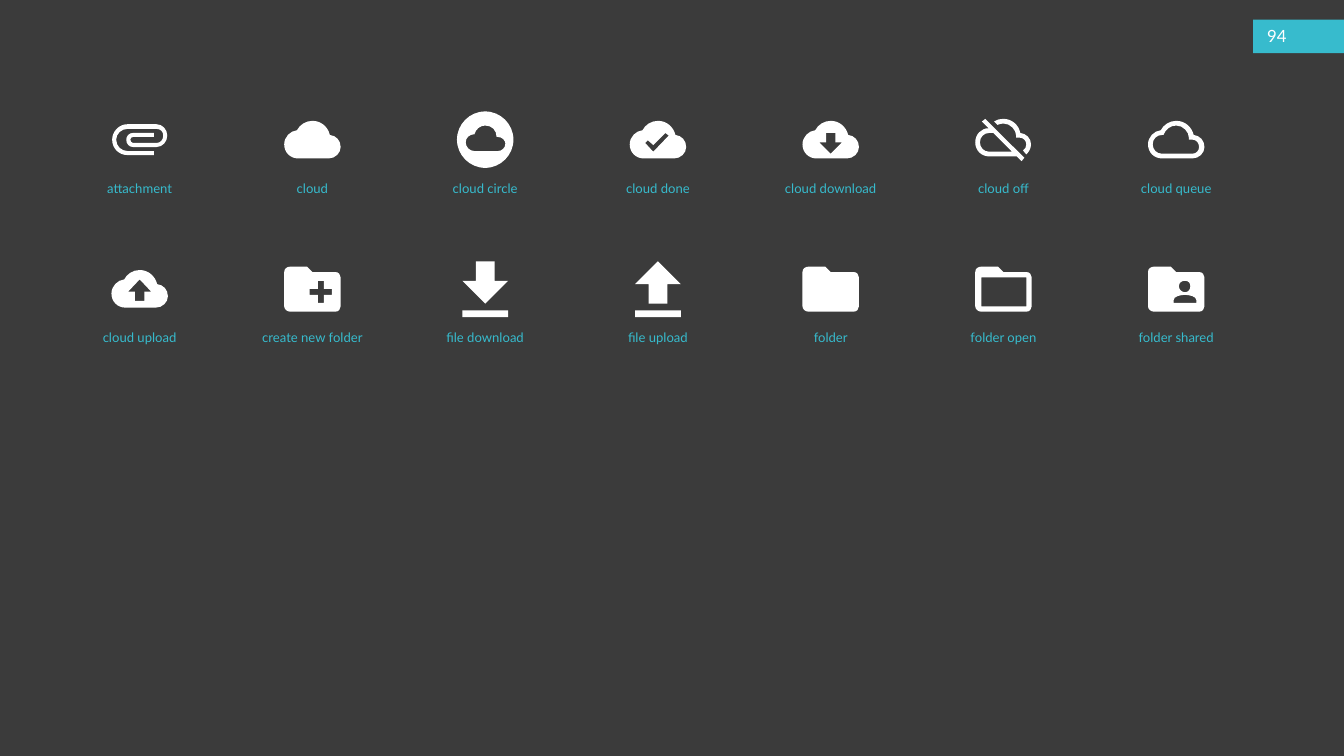
from pptx import Presentation
from pptx.dml.color import RGBColor
from pptx.enum.shapes import MSO_SHAPE
from pptx.enum.text import MSO_ANCHOR, MSO_AUTO_SIZE, PP_ALIGN
from pptx.oxml.ns import qn
from pptx.util import Cm, Pt

RECTANGLE = MSO_SHAPE.RECTANGLE
MIDDLE, TOP = MSO_ANCHOR.MIDDLE, MSO_ANCHOR.TOP
GROW, FIXED = MSO_AUTO_SIZE.SHAPE_TO_FIT_TEXT, MSO_AUTO_SIZE.NONE
CENTER, LEFT = PP_ALIGN.CENTER, PP_ALIGN.LEFT

COLORS = {"background": "3B3B3B", "accent": "37BBCD", "white": "FFFFFF"}
FONT = "Lato"
PAGE_NUMBER = "94"

# Outlines around the icon centre, in units of 1/100 inch:
# a pair is a corner, six numbers are a cubic curve (two handles and its end)
CLOUD = [(26, -7), (23, -19, 13, -28, 0, -28), (-10, -28, -19, -22, -23, -14),
         (-33, -13, -42, -4, -42, 7), (-42, 19, -33, 28, -21, 28), (24, 28),
         (34, 28, 42, 20, 42, 11), (42, 1, 35, -6, 26, -7)]
CLOUD_INSIDE = [(24, 21), (-21, 21), (-29, 21, -35, 15, -35, 7),
                (-35, -1, -29, -7, -21, -7), (-19, -7), (-16, -15, -9, -21, 0, -21),
                (10, -21, 19, -12, 19, -2), (19, 0), (24, 0),
                (30, 0, 34, 5, 34, 11), (34, 16, 30, 21, 24, 21)]
SMALL_CLOUD = [(19, 17), (-16, 17), (-23, 17, -29, 11, -29, 4),
               (-29, -3, -23, -8, -16, -8), (-14, -16, -7, -21, 0, -21),
               (10, -21, 17, -14, 17, -4), (19, -4),
               (25, -4, 30, 1, 30, 6), (30, 12, 25, 17, 19, 17)]
DISC = [(0, -42), (-23, -42, -42, -23, -42, 0), (-42, 23, -23, 42, 0, 42),
        (23, 42, 42, 23, 42, 0), (42, -23, 23, -42, 0, -42)]
CHECK = [(-7, 18), (-19, 5), (-15, 1), (-7, 8), (11, -10), (16, -6)]
CLOUD_ARROW_DOWN = [(17, 4), (0, 21), (-17, 4), (-7, 4), (-7, -10), (7, -10), (7, 4)]
CLOUD_ARROW_UP = [(17, 4), (0, -14), (-17, 4), (-7, 4), (-7, 18), (7, 18), (7, 4)]
OFF_RIGHT = [(25, -10), (23, -22, 12, -31, 0, -31), (-5, -31, -10, -30, -14, -27),
             (-9, -22), (-6, -23, -3, -24, 0, -24), (10, -24, 19, -15, 19, -5),
             (19, -3), (24, -3), (30, -3, 34, 2, 34, 7), (34, 11, 32, 15, 29, 16),
             (34, 22), (38, 18, 41, 13, 41, 7), (41, -2, 34, -9, 25, -10)]
OFF_LEFT = [(-32, -27), (-22, -17), (-33, -17, -42, -8, -42, 4),
            (-42, 16, -33, 25, -21, 25), (20, 25), (27, 32), (31, 27), (-27, -31)]
OFF_HOLE = [(-15, -10), (13, 18), (-21, 18), (-29, 18, -35, 12, -35, 4),
            (-35, -4, -29, -10, -21, -10)]
CLIP = [(-18, 23), (-31, 23, -41, 13, -41, 0), (-41, -12, -31, -23, -18, -23),
        (25, -23), (34, -23, 41, -15, 41, -6), (41, 3, 34, 11, 25, 11), (-10, 11),
        (-16, 11, -20, 6, -20, 0), (-20, -5, -16, -10, -10, -10), (21, -10),
        (21, -4), (-10, -4), (-12, -4, -14, -2, -14, 0), (-14, 2, -12, 5, -10, 5),
        (25, 5), (31, 5, 35, 0, 35, -6), (35, -12, 31, -16, 25, -16), (-18, -16),
        (-27, -16, -35, -9, -35, 0), (-35, 10, -27, 17, -18, 17), (21, 17), (21, 23)]
ARROW_DOWN = [(34, -12), (14, -12), (14, -41), (-14, -41), (-14, -12), (-34, -12), (0, 22)]
ARROW_UP = [(34, -7), (14, -7), (14, 22), (-14, 22), (-14, -7), (-34, -7), (0, -41)]
BAR = [(-34, 32), (34, 32), (34, 42), (-34, 42)]
FOLDER = [(-8, -33), (-33, -33), (-38, -33, -42, -30, -42, -25), (-42, 26),
          (-42, 30, -38, 34, -33, 34), (34, 34), (39, 34, 42, 30, 42, 26),
          (42, -17), (42, -21, 39, -25, 34, -25), (0, -25)]
FOLDER_INSIDE = [(34, 26), (-33, 26), (-33, -17), (34, -17)]
PLUS = [(29, 9), (17, 9), (17, 21), (8, 21), (8, 9), (-4, 9),
        (-4, 0), (8, 0), (8, -12), (17, -12), (17, 0), (29, 0)]
HEAD = [(13, -12), (18, -12, 21, -9, 21, -4), (21, 1, 18, 5, 13, 5),
        (8, 5, 4, 1, 4, -4), (4, -9, 8, -12, 13, -12)]
SHOULDERS = [(30, 21), (-4, 21), (-4, 17), (-4, 11, 7, 9, 13, 9), (19, 9, 30, 11, 30, 17)]

ICON_ROWS = [
    [("attachment", [CLIP]),
     ("cloud", [CLOUD]),
     ("cloud circle", [DISC, SMALL_CLOUD]),
     ("cloud done", [CLOUD, CHECK]),
     ("cloud download", [CLOUD, CLOUD_ARROW_DOWN]),
     ("cloud off", [OFF_RIGHT, OFF_LEFT, OFF_HOLE]),
     ("cloud queue", [CLOUD, CLOUD_INSIDE])],
    [("cloud upload", [CLOUD, CLOUD_ARROW_UP]),
     ("create new folder", [FOLDER, PLUS]),
     ("file download", [ARROW_DOWN, BAR]),
     ("file upload", [ARROW_UP, BAR]),
     ("folder", [FOLDER]),
     ("folder open", [FOLDER, FOLDER_INSIDE]),
     ("folder shared", [FOLDER, HEAD, SHOULDERS])],
]

# Grid
FIRST_X, FIRST_Y = Cm(5.28), Cm(5.28)
STEP_X, STEP_Y = Cm(6.53), Cm(5.64)
LABEL_WIDTH, LABEL_HEIGHT, LABEL_DROP = Cm(7.06), Cm(0.86), Cm(1.42)
UNIT = Cm(2.54) / 100


def rgb(name):
    return RGBColor.from_string(COLORS[name])


def paint(shape, color):
    shape.fill.solid()
    shape.fill.fore_color.rgb = rgb(color)
    shape.line.fill.background()
    shape.shadow.inherit = False


def bend_curves(shape, outlines):
    """Join the three points of each curve segment into one cubic curve."""
    lines = iter(list(shape.element.iter(qn("a:lnTo"))))
    for outline in outlines:
        for segment in outline[1:]:
            first = next(lines)
            if len(segment) == 2:
                continue
            curve = first.makeelement(qn("a:cubicBezTo"), {})
            first.addprevious(curve)
            for line in (first, next(lines), next(lines)):
                curve.append(line[0])
                line.getparent().remove(line)


def add_icon(slide, outlines, center_x, center_y):
    builder = None
    for outline in outlines:
        points = [(center_x + segment[i] * UNIT, center_y + segment[i + 1] * UNIT)
                  for segment in outline for i in range(0, len(segment), 2)]
        if builder is None:
            builder = slide.shapes.build_freeform(*points[0])
        else:
            builder.move_to(*points[0])
        builder.add_line_segments(points[1:], close=True)
    icon = builder.convert_to_shape()
    bend_curves(icon, outlines)
    paint(icon, "white")


def add_text(slide, text, box, size, color, alignment, anchor, auto_size):
    frame = slide.shapes.add_textbox(*box).text_frame
    frame.word_wrap = True
    frame.auto_size = auto_size
    frame.vertical_anchor = anchor
    paragraph = frame.paragraphs[0]
    paragraph.alignment = alignment
    run = paragraph.add_run()
    run.text = text
    run.font.name = FONT
    run.font.size = Pt(size)
    run.font.color.rgb = rgb(color)


def main():
    presentation = Presentation()
    presentation.slide_width, presentation.slide_height = Cm(50.8), Cm(28.58)
    slide = presentation.slides.add_slide(presentation.slide_layouts[6])
    slide.background.fill.solid()
    slide.background.fill.fore_color.rgb = rgb("background")

    # Page number tab
    tab = slide.shapes.add_shape(RECTANGLE, Cm(47.37), Cm(0.74), Cm(3.43), Cm(1.27))
    paint(tab, "accent")
    number_box = (Cm(47.65), Cm(0.71), Cm(1.7), Cm(1.27))
    add_text(slide, PAGE_NUMBER, number_box, 18, "white", LEFT, MIDDLE, FIXED)

    # Icons with their labels
    for row, icons in enumerate(ICON_ROWS):
        center_y = FIRST_Y + row * STEP_Y
        for column, (label, outlines) in enumerate(icons):
            center_x = FIRST_X + column * STEP_X
            add_icon(slide, outlines, center_x, center_y)
            label_box = (center_x - LABEL_WIDTH // 2, center_y + LABEL_DROP,
                         LABEL_WIDTH, LABEL_HEIGHT)
            add_text(slide, label, label_box, 14, "accent", CENTER, TOP, GROW)

    presentation.save("out.pptx")


if __name__ == "__main__":
    main()
